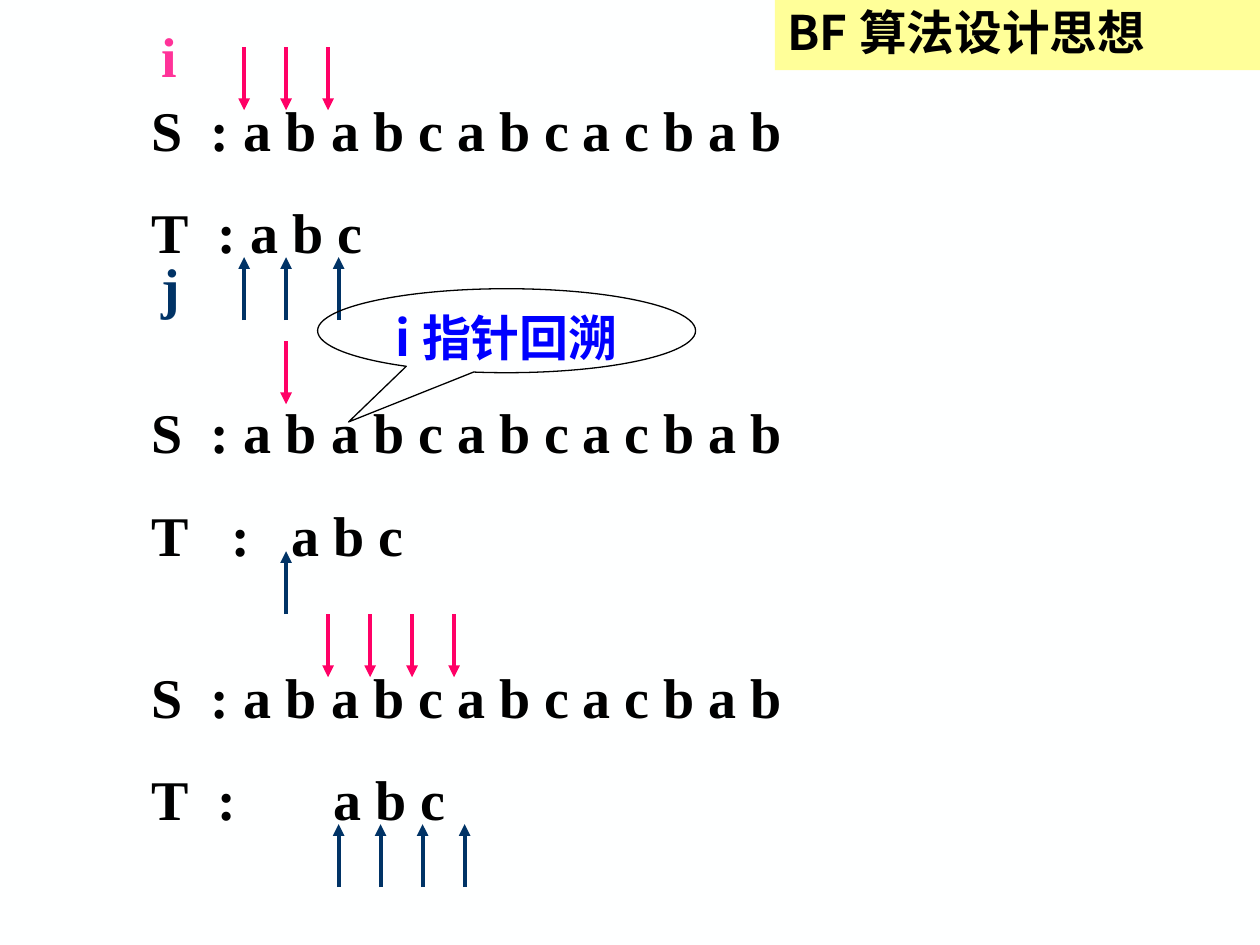
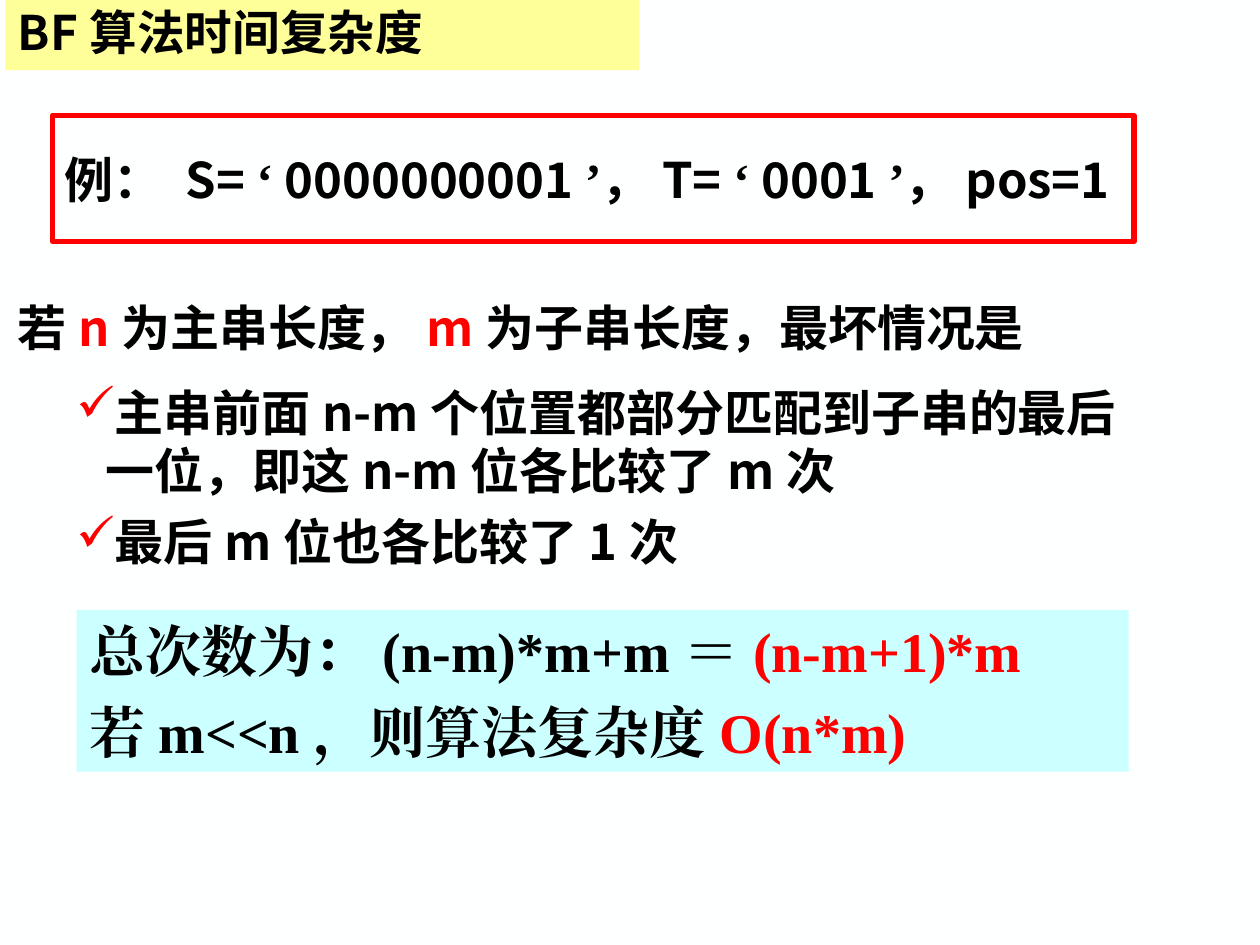
from pptx import Presentation
from pptx.dml.color import RGBColor
from pptx.enum.shapes import MSO_CONNECTOR as Connector, MSO_SHAPE as Preset
from pptx.enum.text import MSO_ANCHOR as Anchor, PP_ALIGN as Align
from pptx.oxml.ns import qn
from pptx.util import Inches, Pt
from lxml.etree import SubElement

BLACK = RGBColor(0x00, 0x00, 0x00)
PAPER = RGBColor(0xFE, 0xFF, 0xFF)
YELLOW = RGBColor(0xFF, 0xFF, 0x99)
CYAN = RGBColor(0xCC, 0xFF, 0xFF)
RED = RGBColor(0xFF, 0x00, 0x00)
BLUE = RGBColor(0x00, 0x00, 0xFF)
NAVY = RGBColor(0x00, 0x33, 0x66)
PINK = RGBColor(0xFF, 0x33, 0x99)
ROSE = RGBColor(0xFF, 0x00, 0x66)
SANS, SERIF = "Noto Sans CJK SC", "Times New Roman"
COLUMNS, ROWS = 120, 90
ARROW_ROWS, ARROW_GAP = 6, 4
MAIN_STRING = "S\t:\ta b a b c a b c a c b a b"
PATTERN = "T\t:\ta b c"
MAIN_TABS = (5.6, 8.75)


class Board:
    """Draws styled elements on the current page, measured in grid columns and rows."""

    def __init__(self):
        self.deck = Presentation()
        self.deck.slide_width, self.deck.slide_height = Inches(10), Inches(7.5)
        self.page = None

    def new_page(self):
        self.page = self.deck.slides.add_slide(self.deck.slide_layouts[6])
        fill = self.page.background.fill
        fill.solid()
        fill.fore_color.rgb = PAPER

    def across(self, columns):
        return round(self.deck.slide_width * columns / COLUMNS)

    def down(self, rows):
        return round(self.deck.slide_height * rows / ROWS)

    def place(self, left, top, width, height):
        return self.across(left), self.down(top), self.across(width), self.down(height)

    def set_face(self, font, properties, face):
        font.name = face
        SubElement(properties, qn("a:ea")).set("typeface", face)

    def put_text(self, box, paras, size=28, face=SANS, color=BLACK, before=0,
                 align=Align.LEFT, anchor=Anchor.TOP, spacing=None):
        frame = box.text_frame
        frame.word_wrap = True
        frame.vertical_anchor = anchor
        for number, spans in enumerate(paras):
            para = frame.add_paragraph() if number else frame.paragraphs[0]
            para.alignment, para.space_before = align, Pt(before)
            if spacing:
                para.line_spacing = spacing
            para.font.size, para.font.bold = Pt(size), True
            para.font.color.rgb = color
            self.set_face(para.font, para._p.pPr.find(qn("a:defRPr")), face)
            for span in [spans] if isinstance(spans, str) else spans:
                text, accent, own_face = span if isinstance(span, tuple) else (span, None, None)
                run = para.add_run()
                run.text = text
                if accent is not None:
                    run.font.color.rgb = accent
                if own_face:
                    self.set_face(run.font, run._r.get_or_add_rPr(), own_face)
        return frame.paragraphs

    def text(self, area, paras, **style):
        return self.put_text(self.page.shapes.add_textbox(*self.place(*area)), paras, **style)

    def panel(self, area, paras, preset=Preset.RECTANGLE, fill=None, line=None,
              weight=1, adjust=(), **style):
        box = self.page.shapes.add_shape(preset, *self.place(*area))
        box.shadow.inherit = False
        for index, value in enumerate(adjust):
            box.adjustments[index] = value
        if fill is None:
            box.fill.background()
        else:
            box.fill.solid()
            box.fill.fore_color.rgb = fill
        if line is None:
            box.line.fill.background()
        else:
            box.line.color.rgb, box.line.width = line, Pt(weight)
        return self.put_text(box, paras, **style)

    def banner(self, left, width, title):
        self.panel((left, 0, width, 6.7), [title], fill=YELLOW, size=27.2,
                   anchor=Anchor.MIDDLE, spacing=0.9)

    def arrow(self, column, start, end, color):
        x = self.across(column)
        arrow = self.page.shapes.add_connector(
            Connector.STRAIGHT, x, self.down(start), x, self.down(end))
        arrow.line.color.rgb, arrow.line.width = color, Pt(2.24)
        properties = arrow._element.spPr
        SubElement(properties.find(qn("a:ln")), qn("a:tailEnd")).set("type", "triangle")
        SubElement(properties, qn("a:effectLst"))

    def main_arrows(self, columns, top):
        for column in columns:
            self.arrow(column, top, top + ARROW_ROWS, ROSE)

    def pattern_arrows(self, columns, top):
        for column in columns:
            self.arrow(column, top + ARROW_ROWS, top, NAVY)

    def add_before_font(self, para, tag):
        element = SubElement(para._p.pPr, qn(tag))
        para._p.pPr.find(qn("a:defRPr")).addprevious(element)
        return element

    def set_tabs(self, para, stops):
        stop_list = self.add_before_font(para, "a:tabLst")
        for stop in stops:
            tab = SubElement(stop_list, qn("a:tab"))
            tab.set("pos", str(self.across(stop)))
            tab.set("algn", "l")

    def set_hanging(self, para, columns):
        para._p.pPr.set("marL", str(self.across(columns)))
        para._p.pPr.set("indent", str(-self.across(columns)))

    def set_tick(self, para):
        color = self.add_before_font(para, "a:buClr")
        SubElement(color, qn("a:srgbClr")).set("val", str(RED))
        self.add_before_font(para, "a:buChar").set("char", "✓")

    def match_step(self, top, pattern_tabs):
        paras = self.text((13.3, top, 95, 17.4), [MAIN_STRING, PATTERN],
                          size=32, face=SERIF, before=20)
        for para, stops in zip(paras, (MAIN_TABS, pattern_tabs)):
            self.set_tabs(para, stops)

    def pointer_name(self, top, name, color):
        self.text((14.25, top, 6, 7.7), [name], size=32, face=SERIF, color=color, before=20)


def arrow_columns(first, count):
    return [first + ARROW_GAP * step for step in range(count)]


def draw_idea(board):
    board.new_page()
    for top, stops in ((8.5, (6.2, 9.35)), (37.3, (7.55, 13.3)), (62.5, (6.2, 17.3))):
        board.match_step(top, stops)
    board.pointer_name(1.5, "i", PINK)
    board.pointer_name(23.5, "j", NAVY)
    for first, count, top in ((23.25, 3, 4.5), (27.25, 1, 32.5), (31.25, 4, 58.5)):
        board.main_arrows(arrow_columns(first, count), top)
    board.pattern_arrows([23.25, 27.25, 32.25], 24.5)
    board.pattern_arrows([27.25], 52.5)
    board.pattern_arrows(arrow_columns(32.25, 4), 78.5)
    board.panel((30.25, 27.5, 36, 8), ["i指针回溯"], preset=Preset.OVAL_CALLOUT,
                line=BLACK, weight=0.74, adjust=(-0.418, 1.086), color=BLUE,
                before=7, align=Align.CENTER)
    board.banner(73.8, 46.2, "BF算法设计思想")


def draw_complexity(board):
    board.new_page()
    board.text((0.5, 27.7, 110.6, 7.3), [[
        "若", ("n", RED, None), "为主串长度，", ("m", RED, None),
        "为子串长度，最坏情况是"]], before=7)
    board.banner(0.5, 60.4, "BF算法时间复杂度")
    reasons = board.text((6.1, 35.8, 105, 19.2), [
        "主串前面n-m个位置都部分匹配到子串的最后一位，即这n-m位各比较了m次",
        "最后m位也各比较了1次"], before=7)
    for para in reasons:
        board.set_hanging(para, 2.8)
        board.set_tick(para)
    totals = board.panel((7.3, 58.1, 100.2, 15.4), [
        ["总次数为：(n-m)*m+m＝", ("(n-m+1)*m", RED, None)],
        ["若m<<n，则算法复杂度", ("O(n*m)", RED, None)]],
        fill=CYAN, size=32, face=SERIF, before=8)
    for para in totals:
        board.set_hanging(para, 4.5)
    pieces = ("例： S=", "‘", "0000000001", "’", "，T=", "‘", "0001", "’", "，pos=1")
    example = [(piece, None, SERIF if piece in "‘’" else SANS) for piece in pieces]
    board.panel((5, 11, 103, 12), [example], line=RED, weight=3, anchor=Anchor.MIDDLE)


board = Board()
draw_idea(board)
draw_complexity(board)
board.deck.save("out.pptx")
